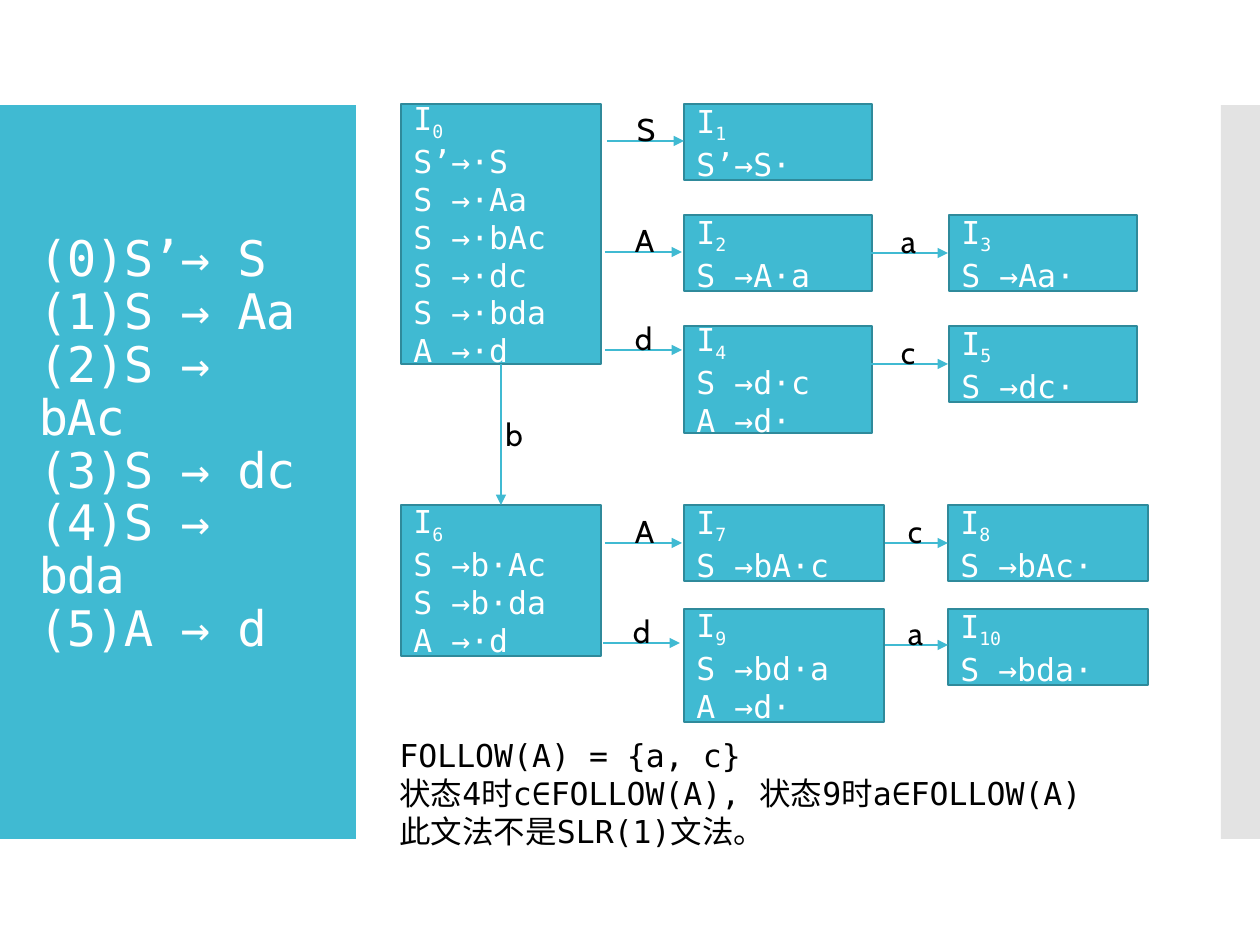
from lxml.etree import SubElement
from pptx import Presentation
from pptx.dml.color import RGBColor
from pptx.enum.shapes import MSO_CONNECTOR, MSO_SHAPE
from pptx.enum.text import MSO_ANCHOR, MSO_AUTO_SIZE, PP_ALIGN
from pptx.oxml.ns import qn
from pptx.util import Emu, Pt

# Content: grammar, item sets, transitions and conclusion
RULES = ["(0)S’→ S", "(1)S → Aa", "(2)S → bAc",
         "(3)S → dc", "(4)S → bda", "(5)A → d"]

# (left, top, width, height), items; a state's number is its index
STATES = [
    ((401, 104, 200, 260),
     ["S’→·S", "S →·Aa", "S →·bAc", "S →·dc", "S →·bda", "A →·d"]),
    ((684, 104, 188, 76), ["S’→S·"]),
    ((684, 215, 188, 76), ["S →A·a"]),
    ((949, 215, 188, 76), ["S →Aa·"]),
    ((684, 326, 188, 107), ["S →d·c", "A →d·"]),
    ((949, 326, 188, 76), ["S →dc·"]),
    ((401, 505, 200, 151), ["S →b·Ac", "S →b·da", "A →·d"]),
    ((684, 505, 200, 76), ["S →bA·c"]),
    ((948, 505, 200, 76), ["S →bAc·"]),
    ((684, 609, 200, 113), ["S →bd·a", "A →d·"]),
    ((948, 609, 200, 76), ["S →bda·"]),
]

# symbol, start x, start y, end x, end y
MOVES = [
    ("S", 607, 141, 684, 141),
    ("A", 605, 252, 682, 252),
    ("a", 871, 253, 948, 253),
    ("d", 605, 350, 682, 350),
    ("c", 871, 364, 948, 364),
    ("b", 501, 364, 501, 505),
    ("A", 605, 543, 682, 543),
    ("c", 885, 543, 948, 543),
    ("d", 603, 643, 680, 643),
    ("a", 885, 645, 948, 645),
]

NOTES = ["FOLLOW(A) = {a, c}",
         "状态4时c∈FOLLOW(A), 状态9时a∈FOLLOW(A)",
         "此文法不是SLR(1)文法。"]

# Theme
MONO, SANS = "DejaVu Sans Mono", "Cabin"
THEME = {
    "fill": RGBColor.from_string("40BAD2"),
    "edge": RGBColor.from_string("2F8A9B"),
    "grey": RGBColor.from_string("C8C8C8"),
    "white": RGBColor.from_string("FFFFFF"),
    "black": RGBColor.from_string("000000"),
    "title": {"name": MONO, "size": Pt(28)},
    "item": {"name": MONO, "size": Pt(18)},
    "label": {"name": SANS, "size": Pt(18)},
}
SCALE = 914400 / 126


def px(*vals):
    return [Emu(round(v * SCALE)) for v in vals]


def put(obj, **vals):
    for key, val in vals.items():
        setattr(obj, key, val)


def write(para, text, font, hue):
    run = para.add_run()
    run.text = text
    put(run.font, **THEME[font])
    run.font.color.rgb = THEME[hue]
    return run


def rect(area, hue):
    box = shapes.add_shape(MSO_SHAPE.RECTANGLE, *px(*area))
    box.shadow.inherit = False
    box.fill.solid()
    box.fill.fore_color.rgb = THEME[hue]
    box.line.fill.background()
    return box


def fill_lines(frame, lines, font, hue):
    for i, text in enumerate(lines):
        para = frame.add_paragraph() if i else frame.paragraphs[0]
        para.alignment = PP_ALIGN.LEFT
        write(para, text, font, hue)


def draw_state(num, area, items):
    box = rect(area, "fill")
    box.line.color.rgb = THEME["edge"]
    box.line.width = Pt(0.85)
    frame = box.text_frame
    put(frame, word_wrap=True, vertical_anchor=MSO_ANCHOR.MIDDLE)
    fill_lines(frame, ["I"] + items, "item", "white")
    sub = write(frame.paragraphs[0], str(num), "item", "white")
    sub.font._element.set("baseline", "-25000")


def draw_move(text, x1, y1, x2, y2):
    line = shapes.add_connector(MSO_CONNECTOR.STRAIGHT, *px(x1, y1, x2, y2))
    line.line.color.rgb = THEME["fill"]
    line.line.width = Pt(0.75)
    SubElement(line.line._get_or_add_ln(), qn("a:tailEnd"), type="triangle")
    SubElement(line._element.spPr, qn("a:effectLst"))

    # Label sits above a level arrow, beside an upright one
    mid_x, mid_y = (x1 + x2) / 2, (y1 + y2) / 2
    dx, dy = (13, -26) if x1 == x2 else (0, -37)
    box = shapes.add_textbox(*px(mid_x + dx - 21, mid_y + dy, 42, 50))
    frame = box.text_frame
    put(frame, word_wrap=False, auto_size=MSO_AUTO_SIZE.SHAPE_TO_FIT_TEXT)
    fill_lines(frame, [text], "label", "black")


deck = Presentation()
put(deck, **dict(zip(("slide_width", "slide_height"), px(1260, 945))))
slide = deck.slides.add_slide(deck.slide_layouts[5])
shapes = slide.shapes

# Side panels
rect((0, 105, 356, 734), "fill")
side = rect((1221, 105, 39, 734), "grey")
tint = side._element.spPr.find(qn("a:solidFill"))[0]
SubElement(tint, qn("a:alpha"), val="50000")

# Grammar in the title, placed in front of its panel
title = shapes.title
shapes._spTree.append(title._element)
put(title, **dict(zip(("left", "top", "width", "height"),
                      px(26, 155, 305, 634))))
frame = title.text_frame
put(frame, word_wrap=True, auto_size=MSO_AUTO_SIZE.NONE,
    vertical_anchor=MSO_ANCHOR.MIDDLE, margin_bottom=px(59)[0])
para = frame.paragraphs[0]
put(para, alignment=PP_ALIGN.LEFT, line_spacing=0.9)
for i, rule in enumerate(RULES):
    if i:
        para.add_line_break()
    run = write(para, rule, "title", "white")
    run.font._element.set("spc", "-60")

# Automaton
for num, (area, items) in enumerate(STATES):
    draw_state(num, area, items)
for move in MOVES:
    draw_move(*move)

# Conclusion
notes = shapes.add_textbox(*px(387, 730, 762, 127)).text_frame
put(notes, word_wrap=True, auto_size=MSO_AUTO_SIZE.SHAPE_TO_FIT_TEXT)
fill_lines(notes, NOTES, "item", "black")

deck.save("out.pptx")
